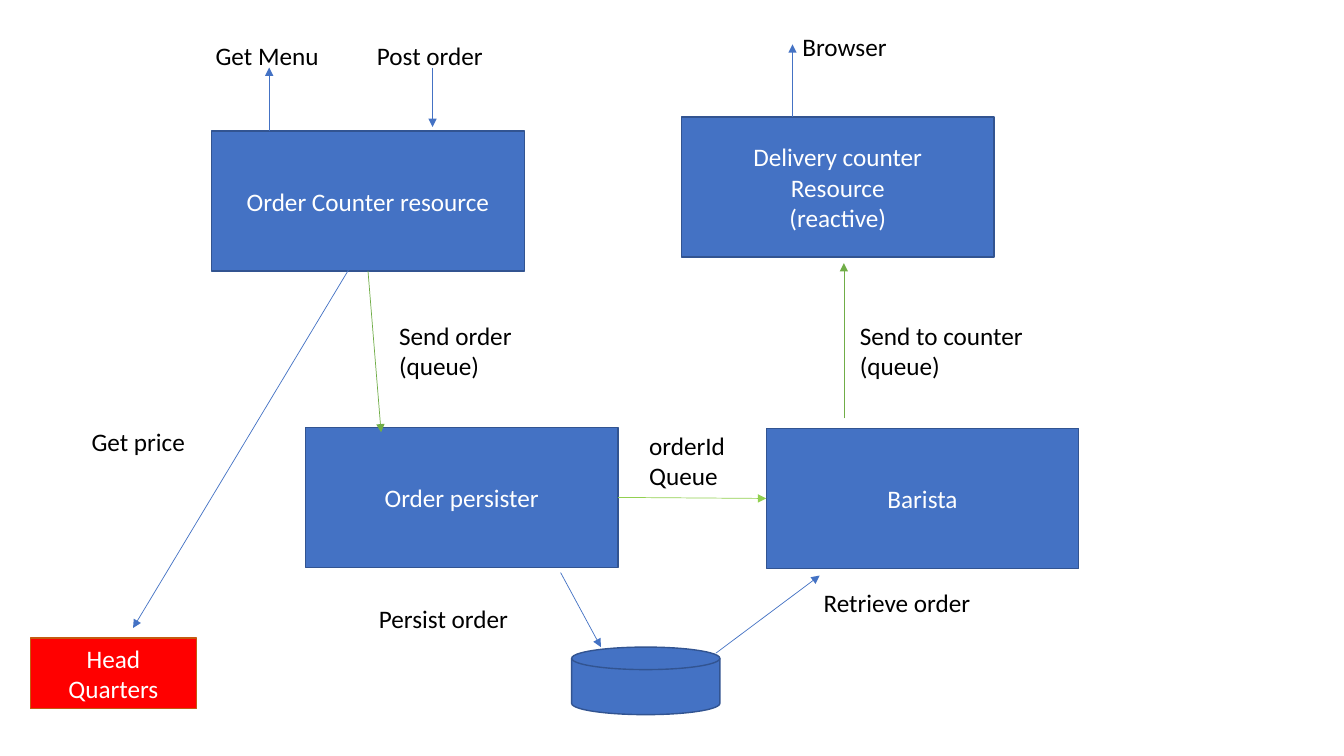
from lxml import etree
from pptx import Presentation
from pptx.dml.color import RGBColor
from pptx.enum.shapes import MSO_CONNECTOR, MSO_SHAPE
from pptx.enum.text import MSO_ANCHOR, MSO_AUTO_SIZE, PP_ALIGN
from pptx.oxml.ns import qn
from pptx.util import Inches, Pt

RECT = MSO_SHAPE.RECTANGLE
DISK = MSO_SHAPE.FLOWCHART_MAGNETIC_DISK
STRAIGHT = MSO_CONNECTOR.STRAIGHT
MIDDLE = MSO_ANCHOR.MIDDLE
CENTER, LEFT = PP_ALIGN.CENTER, PP_ALIGN.LEFT
FIT_SHAPE = MSO_AUTO_SIZE.SHAPE_TO_FIT_TEXT
SIDE_LEFT, SIDE_BOTTOM, SIDE_RIGHT = 1, 2, 3

COLORS = {
    "blue": "4472C4",
    "navy": "325491",
    "red": "FF0000",
    "rust": "C55A11",
    "green": "70AD47",
    "lime": "92D050",
    "white": "FFFFFF",
    "black": "000000",
}


class Diagram:
    font = "Calibri"
    size = Pt(18)
    box_size = (3.1, 1.39)

    def __init__(self, slide):
        self.shapes = slide.shapes

    def color(self, name):
        return RGBColor.from_string(COLORS[name])

    def set_text(self, tf, text, color, align):
        tf.text = text
        for p in tf.paragraphs:
            p.alignment = align
            for r in p.runs:
                r.font.name = self.font
                r.font.size = self.size
                r.font.color.rgb = self.color(color)

    def box(self, x, y, text="", size=box_size, fill="blue", line="navy", kind=RECT):
        sp = self.shapes.add_shape(kind, Inches(x), Inches(y), *map(Inches, size))
        sp.shadow.inherit = False
        sp.fill.solid()
        sp.fill.fore_color.rgb = self.color(fill)
        sp.line.color.rgb = self.color(line)
        sp.line.width = Pt(1)
        if text:
            sp.text_frame.vertical_anchor = MIDDLE
            self.set_text(sp.text_frame, text, "white", CENTER)
        return sp

    def label(self, x, y, w, text, h=0.4):
        sp = self.shapes.add_textbox(Inches(x), Inches(y), Inches(w), Inches(h))
        sp.text_frame.word_wrap = False
        sp.text_frame.auto_size = FIT_SHAPE
        self.set_text(sp.text_frame, text, "black", LEFT)

    def arrow(self, start, end, color="blue", begin=None, finish=None):
        sp = self.shapes.add_connector(STRAIGHT, *map(Inches, start + end))
        if begin:
            sp.begin_connect(*begin)
        if finish:
            sp.end_connect(*finish)
        sp.line.color.rgb = self.color(color)
        sp.line.width = Pt(0.5)
        sp_pr = sp.element.spPr
        etree.SubElement(sp_pr.find(qn("a:ln")), qn("a:tailEnd"), type="triangle")
        etree.SubElement(sp_pr, qn("a:effectLst"))


def main():
    prs = Presentation()
    prs.slide_width, prs.slide_height = Inches(13.33), Inches(7.5)
    d = Diagram(prs.slides.add_slide(prs.slide_layouts[6]))

    order_counter = d.box(2.1, 1.3, "Order Counter resource")
    persister = d.box(3.03, 4.24, "Order persister")
    barista = d.box(7.6, 4.25, "Barista")
    d.box(6.76, 1.16, "Delivery counter\nResource\n(reactive)")
    d.box(0.3, 6.33, "Head\nQuarters", size=(1.65, 0.7), fill="red", line="rust")
    d.box(5.67, 6.42, size=(1.47, 0.67), kind=DISK)

    d.arrow((3.54, 2.54), (1.32, 6.23))
    d.arrow((5.56, 5.68), (5.96, 6.42))
    d.arrow((7.1, 6.48), (8.13, 5.71))
    d.arrow((6.13, 4.93), (7.6, 4.95), "lime",
            (persister, SIDE_RIGHT), (barista, SIDE_LEFT))
    d.arrow((8.37, 4.15), (8.37, 2.61), "green")
    d.arrow((3.65, 2.69), (3.78, 4.29), "green", (order_counter, SIDE_BOTTOM))
    d.arrow((2.67, 1.3), (2.67, 0.67))
    d.arrow((4.29, 0.67), (4.29, 1.26))
    d.arrow((7.86, 1.16), (7.86, 0.44))

    d.label(0.81, 4.18, 1.14, "Get price")
    d.label(2.04, 0.35, 1.24, "Get Menu")
    d.label(3.64, 0.35, 1.26, "Post order")
    d.label(3.66, 5.94, 1.49, "Persist order")
    d.label(8.07, 5.78, 1.67, "Retrieve order")
    d.label(6.34, 4.22, 0.96, "orderId\nQueue", h=0.71)
    d.label(8.43, 3.13, 2.59, "Send to counter (queue)")
    d.label(3.86, 3.13, 2.08, "Send order (queue)")
    d.label(7.86, 0.26, 1.04, "Browser")

    prs.save("out.pptx")


if __name__ == "__main__":
    main()
